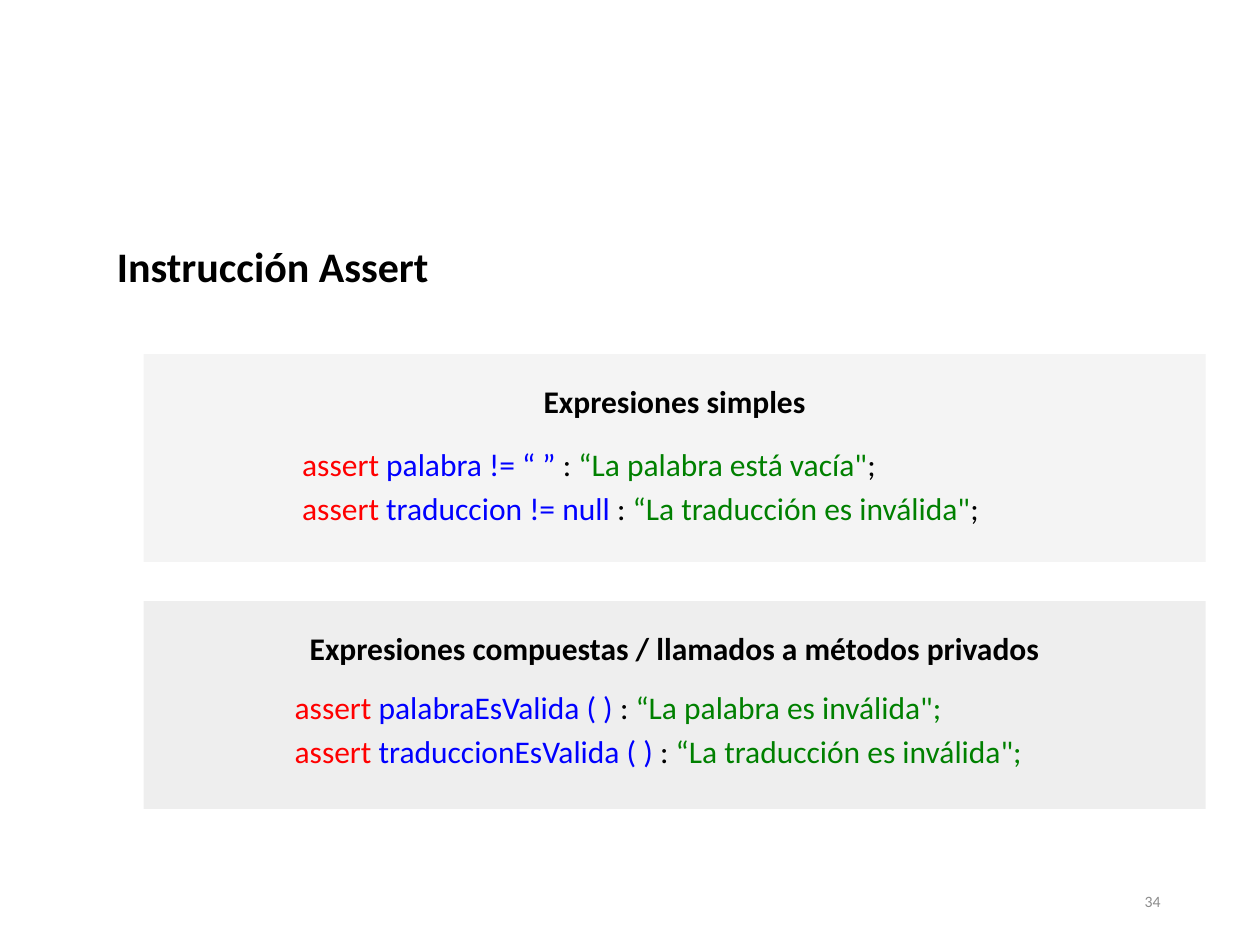
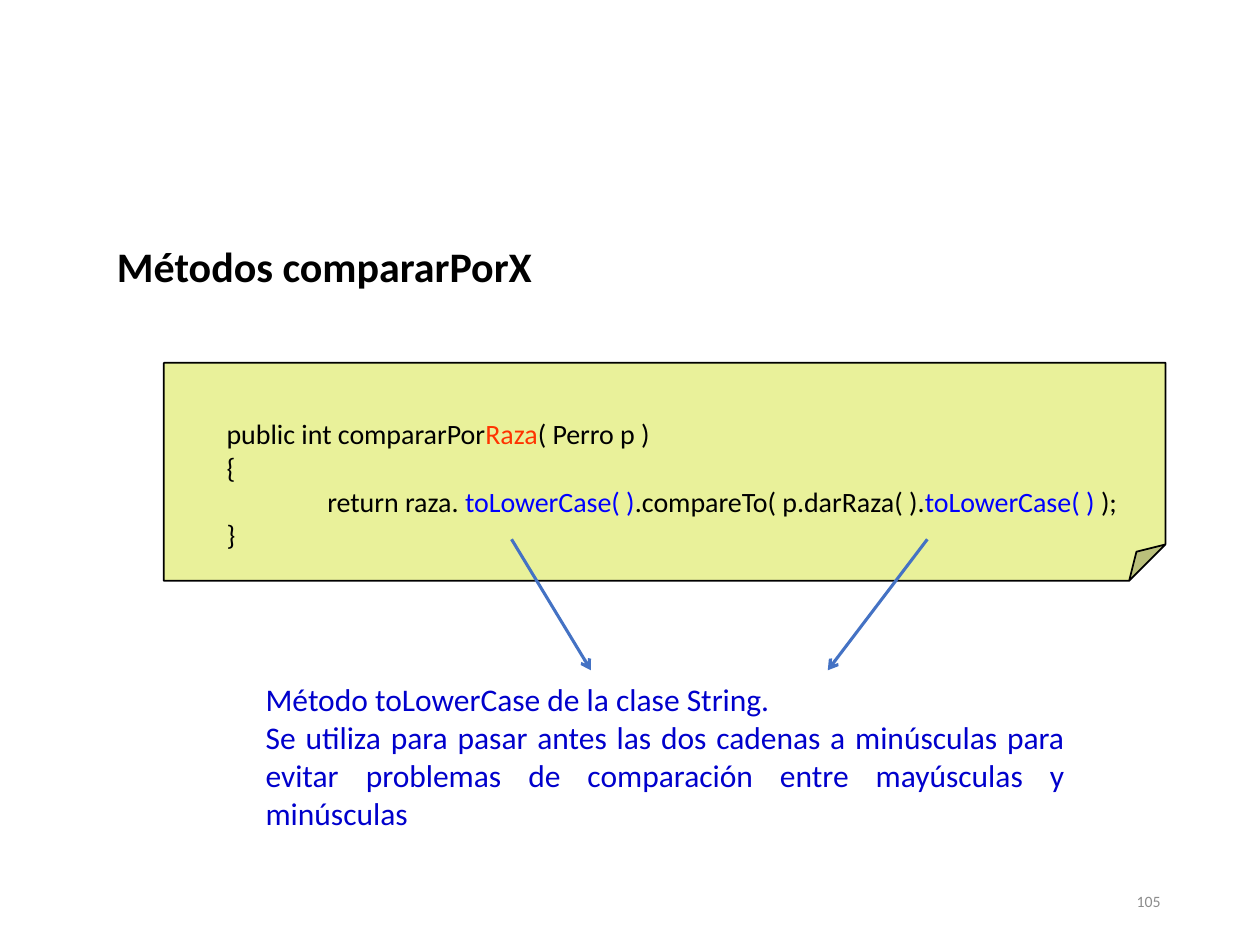
from lxml import etree
from pptx import Presentation
from pptx.dml.color import RGBColor
from pptx.enum.shapes import MSO_CONNECTOR, MSO_SHAPE
from pptx.enum.text import MSO_ANCHOR, PP_ALIGN
from pptx.oxml.ns import qn
from pptx.util import Inches, Pt

BLACK = RGBColor(0x00, 0x00, 0x00)
PANEL_GREY = RGBColor(0xC9, 0xC9, 0xC9)
FOOTER_GREY = RGBColor(0x8C, 0x8C, 0x8C)
KEYWORD_RED = RGBColor(0xFF, 0x00, 0x00)
CODE_BLUE = RGBColor(0x00, 0x00, 0xFF)
MESSAGE_GREEN = RGBColor(0x00, 0x80, 0x00)
NAME_ORANGE = RGBColor(0xFF, 0x33, 0x00)
NOTE_BLUE = RGBColor(0x00, 0x00, 0xCC)
NOTE_YELLOW = RGBColor(0xE9, 0xF1, 0x9A)
ARROW_BLUE = RGBColor(0x44, 0x72, 0xC4)

FONT = "Calibri"
RECTANGLE = MSO_SHAPE.RECTANGLE
FOLDED_CORNER = MSO_SHAPE.FOLDED_CORNER
STRAIGHT = MSO_CONNECTOR.STRAIGHT
TOP, MIDDLE = MSO_ANCHOR.TOP, MSO_ANCHOR.MIDDLE
CENTER, RIGHT, JUSTIFY = PP_ALIGN.CENTER, PP_ALIGN.RIGHT, PP_ALIGN.JUSTIFY


def write_paragraph(frame, runs, size, first=False, bold=False):
    paragraph = frame.paragraphs[0] if first else frame.add_paragraph()
    font = paragraph.font
    font.name, font.size, font.bold = FONT, Pt(size), bold
    if len(runs) == 1:
        font.color.rgb = runs[0][1]
    for text, color in runs:
        run = paragraph.add_run()
        run.text = text
        if len(runs) > 1:
            run.font.color.rgb = color
    return paragraph


def add_text(slide, box, lines, size, bold=False):
    shape = slide.shapes.add_textbox(*map(Inches, box))
    frame = shape.text_frame
    frame.word_wrap = True
    for index, runs in enumerate(lines):
        write_paragraph(frame, runs, size, index == 0, bold)
    return frame


def add_box(slide, kind, box, color):
    shape = slide.shapes.add_shape(kind, *map(Inches, box))
    shape.shadow.inherit = False
    shape.fill.solid()
    shape.fill.fore_color.rgb = color
    return shape


def add_base_slide(presentation, title, number):
    slide = presentation.slides.add_slide(presentation.slide_layouts[6])
    add_text(slide, (0.83, 1.86, 5.35, 0.5), [[(title, BLACK)]], 24, bold=True)
    footer = add_text(slide, (7.06, 6.95, 2.25, 0.4), [[(number, FOOTER_GREY)]], 9)
    footer.vertical_anchor = MIDDLE
    footer.paragraphs[0].alignment = RIGHT
    return slide


def add_assert_panel(slide, box, opacity, heading, code_offset, lines):
    left, top, width, height = box
    panel = add_box(slide, RECTANGLE, box, PANEL_GREY)
    panel.line.fill.background()
    color = panel.fill._xPr.find(".//" + qn("a:srgbClr"))
    etree.SubElement(color, qn("a:alpha"), val=str(opacity * 1000))
    frame = panel.text_frame
    frame.vertical_anchor = TOP
    frame.margin_top = Inches(0.22)
    paragraph = write_paragraph(frame, [(heading, BLACK)], 18, first=True, bold=True)
    paragraph.alignment = CENTER

    indent, drop = code_offset
    code_box = (left + indent, top + drop, width - indent, height - drop)
    code = add_text(slide, code_box, lines, 18)
    for paragraph in code.paragraphs[1:]:
        paragraph.space_before = Pt(3.6)


def assert_line(condition, message, ending):
    return [("assert ", KEYWORD_RED), (condition + " ", CODE_BLUE),
            (": ", BLACK), (message, MESSAGE_GREEN)] + ending


def add_assert_slide(presentation):
    slide = add_base_slide(presentation, "Instrucción Assert", "34")
    semicolon = [(";", BLACK)]
    add_assert_panel(
        slide, (1.14, 2.81, 8.43, 1.65), 20, "Expresiones simples", (1.16, 0.67),
        [assert_line("palabra != “ ”", "“La palabra está vacía\"", semicolon),
         assert_line("traduccion != null", "“La traducción es inválida\"", semicolon)])
    add_assert_panel(
        slide, (1.14, 4.77, 8.43, 1.65), 30,
        "Expresiones compuestas / llamados a métodos privados", (1.1, 0.64),
        [assert_line("palabraEsValida ( )", "“La palabra es inválida\";", []),
         assert_line("traduccionEsValida ( )", "“La traducción es inválida\";", [])])


def add_code_note(slide, box):
    left, top, width, height = box
    note = add_box(slide, FOLDED_CORNER, box, NOTE_YELLOW)
    note.line.color.rgb = BLACK
    note.line.width = Pt(1)
    lines = [
        [("public int compararPor", BLACK), ("Raza", NAME_ORANGE), ("( Perro p )", BLACK)],
        [("{", BLACK)],
        [("return raza. ", BLACK), ("toLowerCase( )", CODE_BLUE),
         (".compareTo( p.darRaza( ).", BLACK), ("toLowerCase( )", CODE_BLUE),
         (" );", BLACK)],
        [("}", BLACK)],
    ]
    code = add_text(slide, (left, top + 0.38, width - 0.15, height - 0.55), lines, 16)
    for paragraph, indent in zip(code.paragraphs, (0.4, 0.4, 1.2, 0.4)):
        paragraph._p.get_or_add_pPr().set("marL", str(Inches(indent)))


def add_arrow(slide, start, end):
    connector = slide.shapes.add_connector(STRAIGHT, *map(Inches, start + end))
    connector.line.color.rgb = ARROW_BLUE
    connector.line.width = Pt(1.75)
    etree.SubElement(connector.line._get_or_add_ln(), qn("a:tailEnd"), type="arrow")
    etree.SubElement(connector._element.spPr, qn("a:effectLst"))


def add_compare_slide(presentation):
    slide = add_base_slide(presentation, "Métodos compararPorX", "105")
    add_code_note(slide, (1.3, 2.88, 7.95, 1.73))
    explanation = add_text(slide, (2.01, 5.35, 6.54, 1.31), [
        [("Método toLowerCase de la clase String.", NOTE_BLUE)],
        [("Se utiliza para pasar antes las dos cadenas a minúsculas para evitar "
          "problemas de comparación entre mayúsculas y minúsculas", NOTE_BLUE)],
    ], 18)
    explanation.paragraphs[1].alignment = JUSTIFY
    for start_x, end_x in ((4.06, 4.69), (7.36, 6.57)):
        add_arrow(slide, (start_x, 4.28), (end_x, 5.32))


def main():
    presentation = Presentation()
    presentation.slide_width = Inches(10)
    presentation.slide_height = Inches(7.5)
    add_assert_slide(presentation)
    add_compare_slide(presentation)
    presentation.save("out.pptx")


if __name__ == "__main__":
    main()
